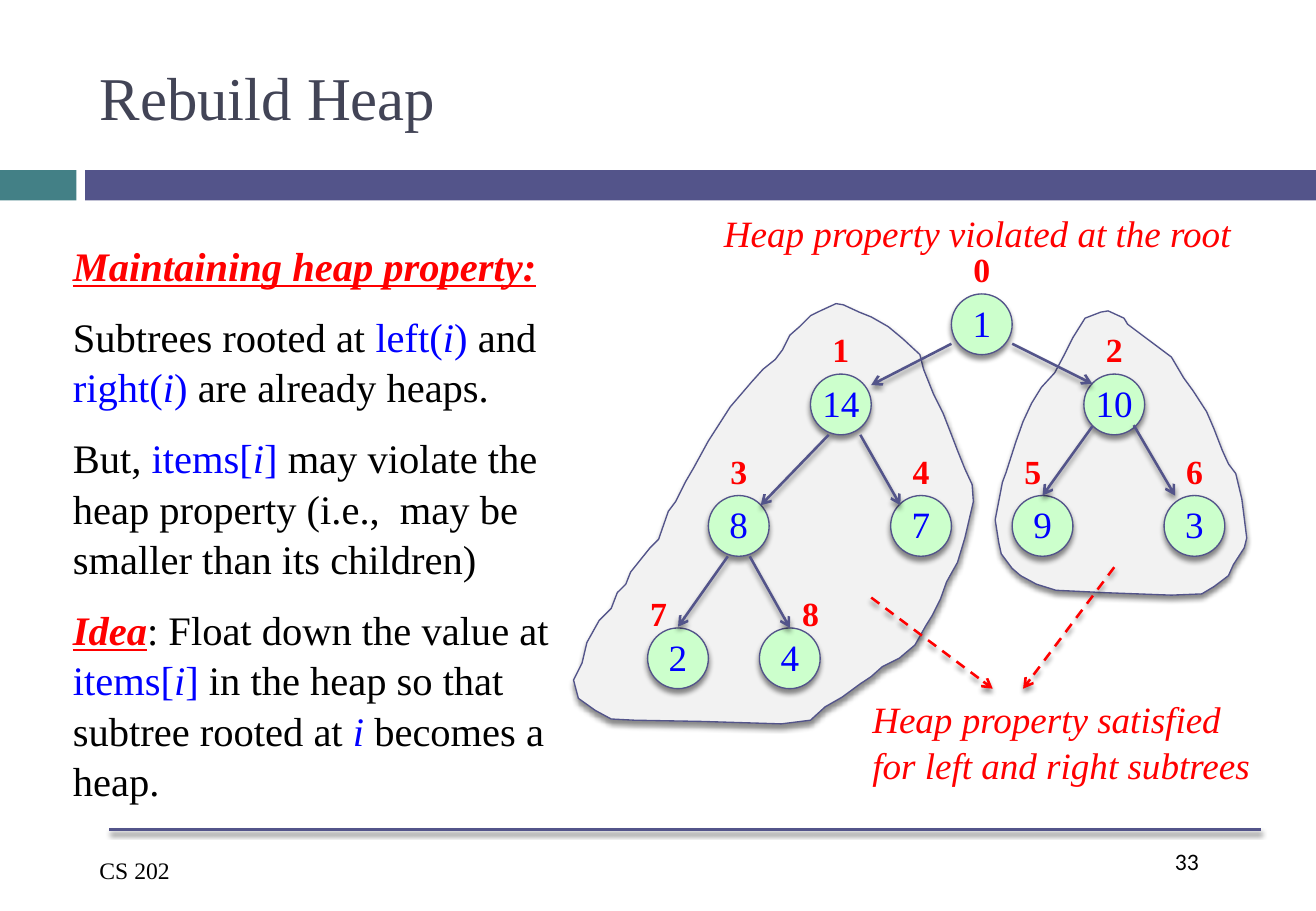
from dataclasses import dataclass

from lxml import etree
from pptx import Presentation
from pptx import util as u
from pptx.dml.color import RGBColor
from pptx.enum import dml, shapes, text
from pptx.oxml import ns


@dataclass(frozen=True)
class Theme:
    serif: str = "Times New Roman"
    sans: str = "Calibri"
    teal: str = "438086"
    indigo: str = "53548A"
    heading: str = "424456"
    ink: str = "000000"
    code: str = "0000FF"
    alert: str = "FF0000"
    node: str = "CCFFCC"
    region: str = "F2F2F2"
    title_size: float = 36
    body_size: float = 24
    note_size: float = 22
    index_size: float = 20
    footer_size: float = 14
    thin: float = 0.8
    thick: float = 1.5
    leading: float = 1.04


THEME = Theme()
LEFT, CENTER = text.PP_ALIGN.LEFT, text.PP_ALIGN.CENTER

# Runs of the explanation: (wording, style)
EXPLANATION = [
    [("Maintaining heap property:", "key")],
    [("Subtrees rooted at ", "plain"), ("left(", "code"), ("i", "var"), (") ", "code"),
     ("and ", "plain"), ("right(", "code"), ("i", "var"), (") ", "code"),
     ("are already heaps.", "plain")],
    [("But, ", "plain"), ("items[", "code"), ("i", "var"), ("]", "code"),
     (" may violate the heap property (i.e.,  may be smaller than its children)", "plain")],
    [("Idea", "key"), (": Float down the value at ", "plain"), ("items[", "code"),
     ("i", "var"), ("]", "code"), (" in the heap so that subtree rooted at ", "plain"),
     ("i", "var"), (" becomes a heap.", "plain")],
]
RUN_COLORS = {"plain": THEME.ink, "code": THEME.code, "var": THEME.code, "key": THEME.alert}

# Nodes in index order: (value, left, top, index label offset)
ABOVE = (0.08, -0.42)
NODES = [
    (1, 3.83, 1.42, ABOVE), (14, 2.67, 2.08, ABOVE), (10, 4.92, 2.08, ABOVE),
    (8, 1.83, 3.08, ABOVE), (7, 3.33, 3.08, ABOVE), (9, 4.33, 3.08, (0, -0.42)),
    (3, 5.58, 3.08, ABOVE), (2, 1.33, 4.17, (-0.08, -0.34)), (4, 2.25, 4.17, (0.25, -0.34)),
]
EDGES = [
    (3.83, 1.83, 3.17, 2.17), (4.33, 1.83, 4.99, 2.16), (2.82, 2.58, 2.26, 3.16),
    (3.08, 2.58, 3.41, 3.16), (4.99, 2.51, 4.58, 3.08), (5.33, 2.5, 5.67, 3.08),
    (1.99, 3.58, 1.58, 4.16), (2.17, 3.58, 2.5, 4.17),
]
POINTERS = [(3.17, 3.92, 4.17, 4.67), (5.17, 3.67, 4.42, 4.67)]

# Outlines around the subtrees
RIGHT_SUBTREE = [
    (5.06, 1.57), (4.93, 1.62), (4.83, 1.78), (4.76, 1.92), (4.68, 2.07), (4.57, 2.19),
    (4.49, 2.32), (4.42, 2.47), (4.36, 2.64), (4.28, 2.89), (4.25, 2.97), (4.19, 3.28),
    (4.22, 3.47), (4.24, 3.56), (4.33, 3.68), (4.4, 3.74), (4.53, 3.81), (4.69, 3.86),
    (5.1, 3.88), (5.64, 3.9), (5.89, 3.89), (5.99, 3.83), (6.11, 3.74), (6.15, 3.65),
    (6.24, 3.51), (6.26, 3.43), (6.22, 3.11), (6.17, 2.9), (6.11, 2.82), (6.06, 2.71),
    (5.99, 2.53), (5.93, 2.39), (5.82, 2.22), (5.74, 2.11), (5.64, 1.94), (5.56, 1.88),
    (5.4, 1.76), (5.28, 1.67), (5.25, 1.62), (5.12, 1.56),
]
LEFT_SUBTREE = [
    (2.88, 1.5), (2.75, 1.56), (2.67, 1.6), (2.58, 1.69), (2.5, 1.76), (2.44, 1.88),
    (2.38, 1.96), (2.28, 2.04), (2.19, 2.14), (2.01, 2.35), (1.92, 2.49), (1.83, 2.63),
    (1.71, 2.85), (1.64, 2.97), (1.56, 3.13), (1.5, 3.21), (1.42, 3.44), (1.35, 3.51),
    (1.19, 3.71), (1.15, 3.81), (1.08, 3.88), (1.03, 4.01), (0.93, 4.11), (0.83, 4.29),
    (0.79, 4.46), (0.72, 4.6), (0.76, 4.75), (0.9, 4.85), (1.03, 4.92), (1.22, 4.93),
    (1.78, 4.94), (2.43, 4.96), (2.67, 4.93), (2.79, 4.82), (2.93, 4.74), (3.08, 4.63),
    (3.17, 4.57), (3.26, 4.49), (3.4, 4.42), (3.53, 4.31), (3.62, 4.15), (3.67, 4.07),
    (3.74, 3.93), (3.79, 3.79), (3.88, 3.63), (3.94, 3.43), (4.01, 3.13), (4, 2.99),
    (3.94, 2.86), (3.88, 2.71), (3.83, 2.58), (3.76, 2.4), (3.68, 2.24), (3.6, 2.04),
    (3.57, 1.92), (3.43, 1.79), (3.31, 1.69), (3.17, 1.61), (3.07, 1.57), (2.94, 1.51),
]


def inches(*lengths):
    return [u.Inches(length) for length in lengths]


def style_font(font, size, color, name=THEME.serif, bold=False, italic=False):
    font.size, font.name, font.bold, font.italic = u.Pt(size), name, bold, italic
    font.color.rgb = RGBColor.from_string(color)


def add_shadow(shape):
    effects = etree.SubElement(shape._element.spPr, ns.qn("a:effectLst"))
    shadow = etree.SubElement(effects, ns.qn("a:outerShdw"), blurRad=str(u.Pt(3)),
                              dist=str(u.Pt(2.4)), dir="5400000", rotWithShape="0")
    color = etree.SubElement(shadow, ns.qn("a:srgbClr"), val=THEME.ink)
    etree.SubElement(color, ns.qn("a:alpha"), val="45000")


def paint(shape, fill, outlined=True):
    shape.fill.solid()
    shape.fill.fore_color.rgb = RGBColor.from_string(fill)
    if outlined:
        shape.line.color.rgb = RGBColor.from_string(THEME.indigo)
        shape.line.width = u.Pt(THEME.thin)
        add_shadow(shape)
    else:
        shape.line.fill.background()
        shape.shadow.inherit = False


def add_line(page, ends, color=THEME.indigo, dashed=False, arrow=True):
    line = page.shapes.add_connector(shapes.MSO_CONNECTOR.STRAIGHT, *inches(*ends))
    line.line.color.rgb = RGBColor.from_string(color)
    line.line.width = u.Pt(THEME.thick)
    if dashed:
        line.line.dash_style = dml.MSO_LINE.DASH
    if arrow:
        etree.SubElement(line.line._ln, ns.qn("a:tailEnd"), type="arrow")
    add_shadow(line)


def add_label(page, box, lines, size, color, align=LEFT, **font):
    frame = page.shapes.add_textbox(*inches(*box)).text_frame
    frame.word_wrap = False
    frame.text = lines
    for para in frame.paragraphs:
        para.alignment = align
        style_font(para.font, size, color, **font)
    return frame


def draw_title(page, box):
    title = page.shapes.title
    title.left, title.top, title.width, title.height = inches(*box)
    title.text_frame.text = "Rebuild Heap"
    title.text_frame.vertical_anchor = text.MSO_ANCHOR.MIDDLE
    para = title.text_frame.paragraphs[0]
    para.alignment = LEFT
    style_font(para.font, THEME.title_size, THEME.heading)


def draw_band(page, box):
    left, top, width, height = box
    for start, end, color in [(0, 0.63, THEME.teal), (0.7, width, THEME.indigo)]:
        bar = page.shapes.add_shape(shapes.MSO_SHAPE.RECTANGLE,
                                    *inches(left + start, top, end - start, height))
        paint(bar, color, outlined=False)


def draw_explanation(page, box):
    body = page.placeholders[1]
    body.left, body.top, body.width, body.height = inches(*box)
    frame = body.text_frame
    frame.auto_size = text.MSO_AUTO_SIZE.NONE
    for number, spans in enumerate(EXPLANATION):
        para = frame.add_paragraph() if number else frame.paragraphs[0]
        para.space_before = u.Pt(THEME.body_size / 2 if number else 0)
        para.line_spacing = THEME.leading
        properties = para._p.get_or_add_pPr()
        properties.set("marL", "0")
        properties.set("indent", "0")
        etree.SubElement(properties, ns.qn("a:buNone"))
        style_font(para.font, THEME.body_size, THEME.ink)
        for wording, style in spans:
            span = para.add_run()
            span.text = wording
            span.font.color.rgb = RGBColor.from_string(RUN_COLORS[style])
            span.font.italic = style in ("var", "key")
            span.font.bold = span.font.underline = style == "key"


def draw_heap(page, box):
    left, top = box[:2]

    def shift(ends):
        return [value + (left, top)[place % 2] for place, value in enumerate(ends)]

    # Subtree regions
    for outline in (RIGHT_SUBTREE, LEFT_SUBTREE):
        points = [inches(*shift(point)) for point in outline]
        builder = page.shapes.build_freeform(*points[0])
        builder.add_line_segments(points[1:], close=True)
        paint(builder.convert_to_shape(), THEME.region)
    # Nodes with their array indexes
    for index, (value, x, y, (offset_x, offset_y)) in enumerate(NODES):
        x, y = shift((x, y))
        node = page.shapes.add_shape(shapes.MSO_SHAPE.OVAL, *inches(x, y, 0.5, 0.5))
        paint(node, THEME.node)
        frame = node.text_frame
        frame.word_wrap = False
        frame.margin_left = frame.margin_right = frame.margin_top = 0
        frame.margin_bottom = u.Inches(0.03)
        frame.text = str(value)
        frame.paragraphs[0].alignment = CENTER
        style_font(frame.paragraphs[0].font, THEME.note_size, THEME.code)
        add_label(page, (x + offset_x, y + offset_y, 0.34, 0.44), str(index),
                  THEME.index_size, THEME.alert, CENTER, bold=True)
    # Edges and pointers
    for ends in EDGES:
        add_line(page, shift(ends))
    for ends in POINTERS:
        add_line(page, shift(ends), THEME.alert, dashed=True)
    # Remarks
    for x, y, width, height, lines in [
            (1.86, 0.67, 4.53, 0.47, "Heap property violated at the root"),
            (3.08, 4.67, 3.48, 0.84, "Heap property satisfied\nfor left and right subtrees")]:
        frame = add_label(page, (*shift((x, y)), width, height), lines,
                          THEME.note_size, THEME.alert, italic=True)
        for para in frame.paragraphs:
            para.line_spacing = THEME.leading


def draw_footer(page, box):
    left, top, width, height = box
    add_line(page, (left + 0.18, top, left + width, top), arrow=False)
    add_label(page, (left, top + 0.17, 1.99, 0.34), "CS 202", THEME.footer_size, THEME.ink)
    add_label(page, (left + width - 0.81, top + 0.09, 0.81, 0.5), "33",
              THEME.footer_size, THEME.ink, name=THEME.sans)


deck = Presentation()
deck.slide_width, deck.slide_height = inches(10.83, 7.5)
page = deck.slides.add_slide(deck.slide_layouts[1])
draw_band(page, (0, 1.4, 10.83, 0.25))
draw_footer(page, (0.72, 6.83, 9.66, 0.6))
draw_title(page, (0.72, 0.25, 9.66, 1.08))
draw_heap(page, (4, 1, 6.5, 5.6))
draw_explanation(page, (0.5, 1.92, 4.33, 4.75))
deck.save("out.pptx")
